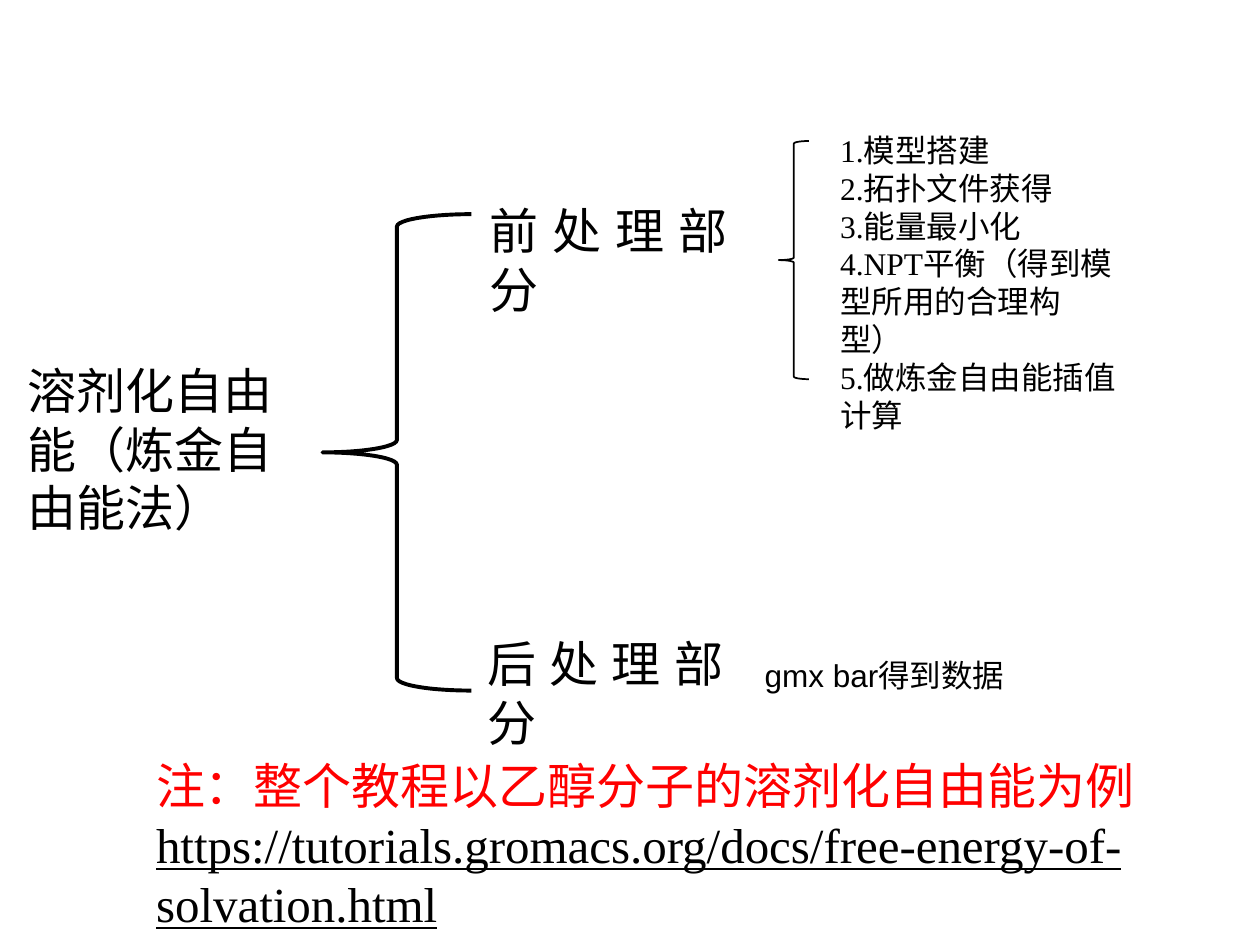
from pptx import Presentation
from pptx.dml.color import RGBColor
from pptx.enum.shapes import MSO_SHAPE
from pptx.enum.text import MSO_AUTO_SIZE, PP_ALIGN
from pptx.util import Pt

LEFT_BRACE = MSO_SHAPE.LEFT_BRACE
GROW = MSO_AUTO_SIZE.SHAPE_TO_FIT_TEXT
LEFT, JUSTIFY = PP_ALIGN.LEFT, PP_ALIGN.JUSTIFY
SERIF, SANS = "Times New Roman", "Arial"
BLACK, RED = "000000", "FF0000"


def color(hex_string):
    return RGBColor.from_string(hex_string)


presentation = Presentation()
presentation.slide_width, presentation.slide_height = Pt(720), Pt(540)
slide = presentation.slides.add_slide(presentation.slide_layouts[6])

# Braces: left, top, width, height, line width
for *box, line_width in [
    (184.3, 122.4, 85, 272.2, 2.25),
    (445, 80.6, 17.3, 136.1, 1),
]:
    brace = slide.shapes.add_shape(LEFT_BRACE, *map(Pt, box))
    brace.shadow.inherit = False
    brace.fill.background()
    brace.line.color.rgb = color(BLACK)
    brace.line.width = Pt(line_width)

steps = [
    "1.模型搭建",
    "2.拓扑文件获得",
    "3.能量最小化",
    "4.NPT平衡（得到模型所用的合理构型）",
    "5.做炼金自由能插值计算",
]
note = [
    "注：整个教程以乙醇分子的溶剂化自由能为例",
    "https://tutorials.gromacs.org/docs/free-energy-of-solvation.html",
]

# Texts: box, lines, size, font, alignment
texts = [
    ((8.6, 202.3, 165.6, 108), ["溶剂化自由能（炼金自由能法）"], 28, SERIF, LEFT),
    ((272.9, 110.9, 149.8, 74.9), ["前处理部分"], 28, SERIF, JUSTIFY),
    ((271.4, 358.6, 149, 74.9), ["后处理部分"], 28, SERIF, JUSTIFY),
    ((473, 71.3, 175, 180), steps, 18, SERIF, LEFT),
    ((429.8, 371.5, 253.4, 28.8), ["gmx bar得到数据"], 18, SANS, LEFT),
    ((82.1, 428.4, 609.1, 108), note, 28, SERIF, LEFT),
]
for box, lines, size, font_name, alignment in texts:
    text_frame = slide.shapes.add_textbox(*map(Pt, box)).text_frame
    text_frame.word_wrap = True
    text_frame.auto_size = GROW
    text_frame.text = "\n".join(lines)
    for paragraph in text_frame.paragraphs:
        paragraph.alignment = alignment
        font = paragraph.runs[0].font
        font.name, font.size = font_name, Pt(size)
        font.color.rgb = color(BLACK)

# The note, last of the texts, is red above an underlined address
heading, address = text_frame.paragraphs
heading.runs[0].font.color.rgb = color(RED)
address.runs[0].font.underline = True

presentation.save("out.pptx")
